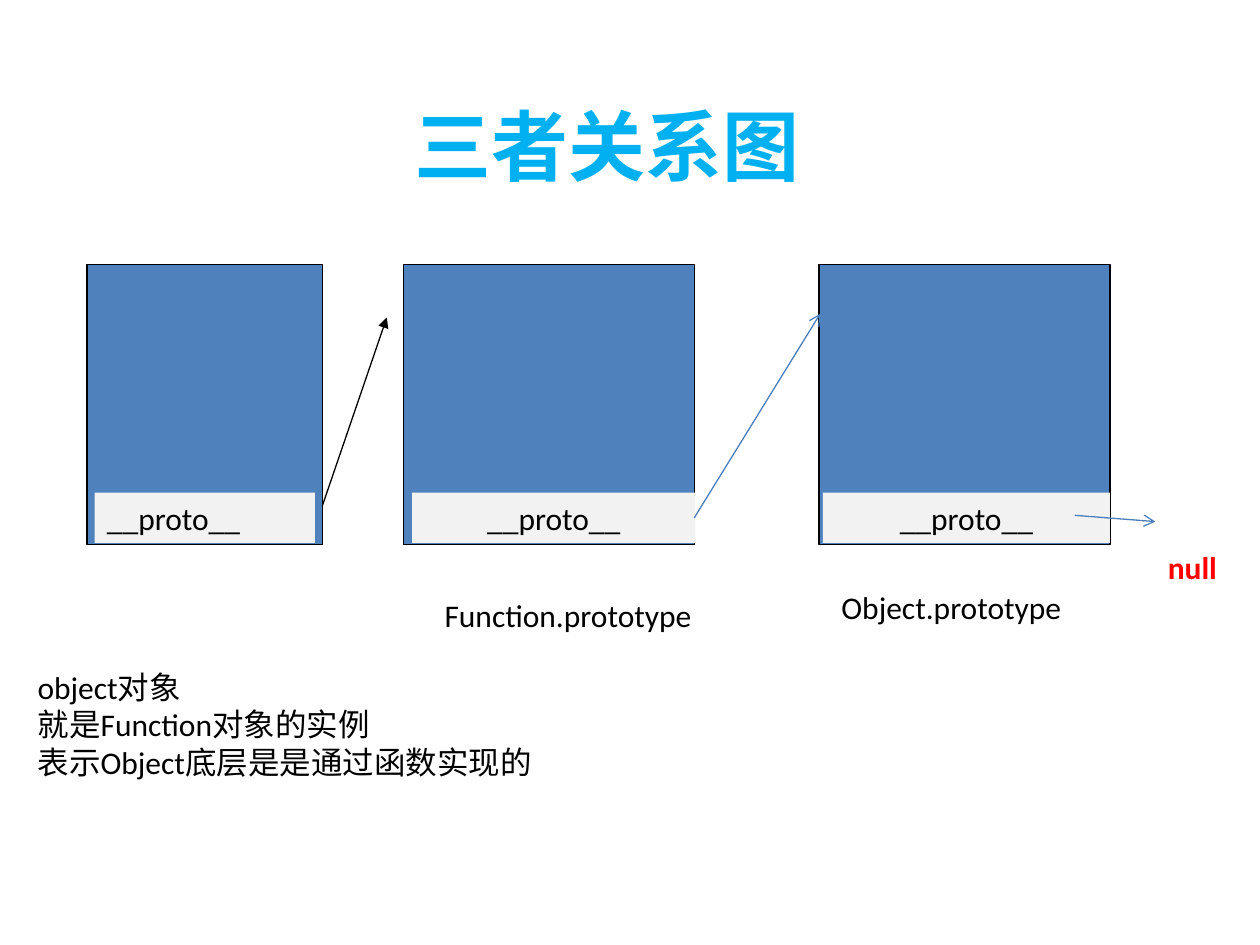
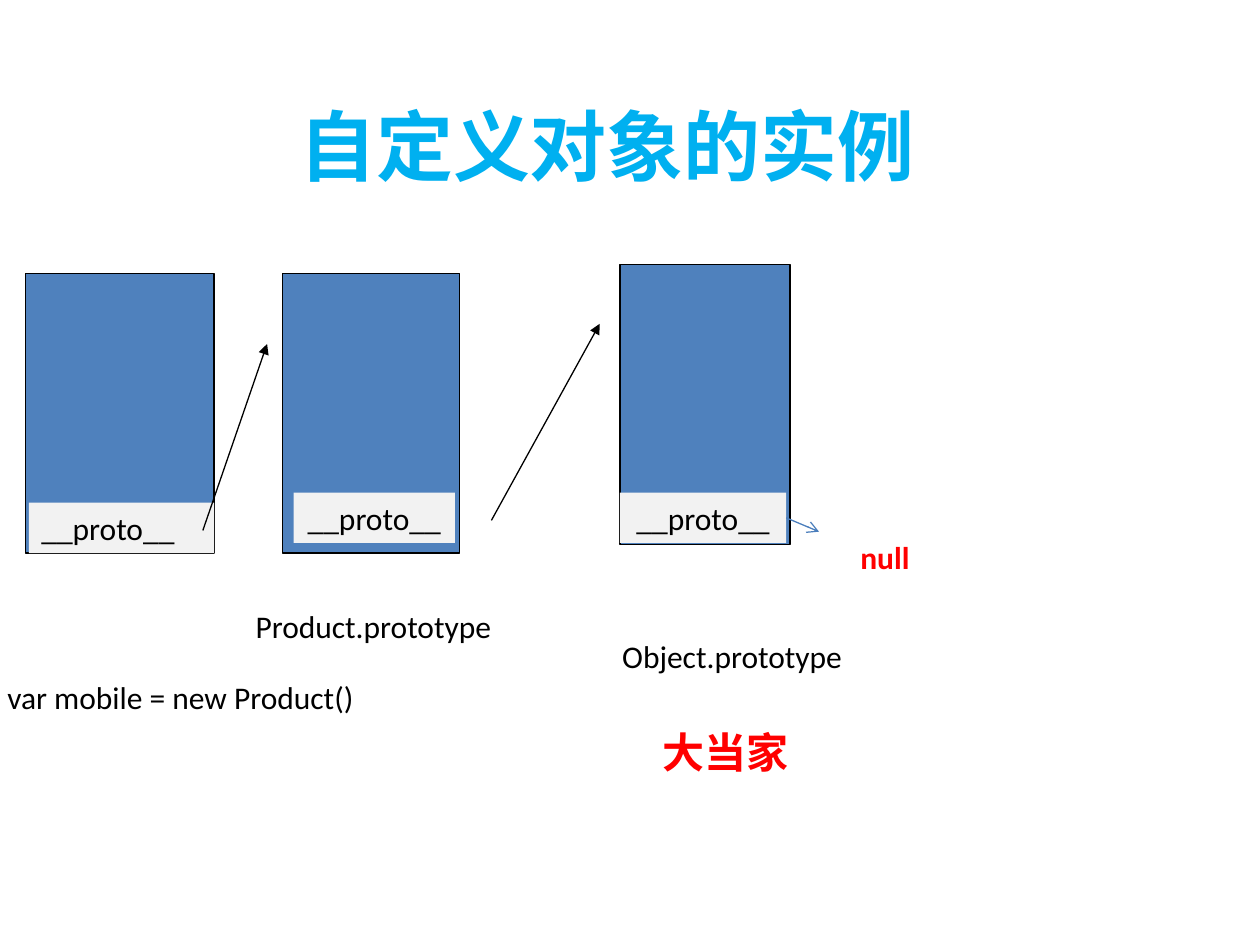
"""Build two slides that diagram JavaScript prototype chains."""
from dataclasses import dataclass

from lxml.etree import SubElement
from pptx import Presentation
from pptx.dml.color import RGBColor as RGB
from pptx.enum.shapes import MSO_CONNECTOR as CONN, MSO_SHAPE as SHAPE
from pptx.enum.text import MSO_ANCHOR as ANCHOR, PP_ALIGN as ALIGN
from pptx.oxml.ns import qn
from pptx.util import Inches, Pt


@dataclass(frozen=True)
class Theme:
    font: str = "Calibri"
    title: RGB = RGB(0x00, 0xB0, 0xF0)
    box: RGB = RGB(0x4F, 0x81, 0xBD)
    slot: RGB = RGB(0xF2, 0xF2, 0xF2)
    ink: RGB = RGB(0, 0, 0)
    link: RGB = RGB(0x4B, 0x7E, 0xBC)
    accent: RGB = RGB(0xFF, 0, 0)
    title_size: int = 44
    body_size: int = 18
    big_size: int = 24
    line: float = 0.75


T = Theme()
BOX_H, SLOT_H = 2.22, 0.4
LEFT, CENTER = ALIGN.LEFT, ALIGN.CENTER

slides = [
    {
        "title": "三者关系图",
        "boxes": [(0.69, 2.1, 1.87), (3.2, 2.1, 2.31), (6.5, 2.1, 2.31)],
        "slots": [(0.75, 3.91, 1.75, LEFT), (3.27, 3.91, 2.25, CENTER),
                  (6.53, 3.91, 2.28, CENTER)],
        "texts": [
            (0.2, 5.25, 4.12, 1, "object对象\n就是Function对象的实例\n"
             "表示Object底层是是通过函数实现的", T.body_size, T.ink),
            (3.43, 4.68, 2.27, 0.4, "Function.prototype", T.body_size, T.ink),
            (6.58, 4.62, 2.24, 0.4, "Object.prototype", T.body_size, T.ink),
            (9.17, 4.3, 0.74, 0.4, "null", T.body_size, T.accent),
        ],
        "arrows": [(2.56, 4.01, 3.07, 2.52, T.ink, "triangle"),
                   (8.53, 4.09, 9.17, 4.14, T.link, "arrow"),
                   (5.51, 4.11, 6.51, 2.49, T.link, "arrow")],
    },
    {
        "title": "自定义对象的实例",
        "boxes": [(0.2, 2.17, 1.5), (2.24, 2.17, 1.41), (4.92, 2.1, 1.35)],
        "slots": [(0.23, 3.99, 1.47, LEFT), (2.33, 3.91, 1.28, CENTER),
                  (4.92, 3.91, 1.32, CENTER)],
        "texts": [
            (-0.04, 5.33, 3, 0.4, "var mobile = new Product()", T.body_size, T.ink),
            (1.93, 4.77, 2.12, 0.4, "Product.prototype", T.body_size, T.ink),
            (6.73, 4.22, 0.74, 0.4, "null", T.body_size, T.accent),
            (4.84, 5.01, 2.24, 0.4, "Object.prototype", T.body_size, T.ink),
            (5.16, 5.72, 1.28, 0.5, "大当家", T.big_size, T.accent),
        ],
        "arrows": [(1.61, 4.21, 2.12, 2.73, T.ink, "triangle"),
                   (6.24, 4.11, 6.5, 4.22, T.link, "arrow"),
                   (3.9, 4.13, 4.76, 2.57, T.ink, "triangle")],
    },
]


def write(sp, text, size, color, bold=False, align=LEFT):
    tf = sp.text_frame
    tf.word_wrap = True
    tf.text = text
    for p in tf.paragraphs:
        p.alignment = align
        p.font.name, p.font.size, p.font.bold = T.font, Pt(size), bold
        p.font.color.rgb = color


def add_rect(s, x, y, w, h, fill):
    sp = s.shapes.add_shape(SHAPE.RECTANGLE, Inches(x), Inches(y), Inches(w), Inches(h))
    sp.shadow.inherit = False
    sp.fill.solid()
    sp.fill.fore_color.rgb = fill
    sp.line.fill.background()
    return sp


prs = Presentation()
prs.slide_width, prs.slide_height = Inches(10), Inches(7.5)

for page in slides:
    s = prs.slides.add_slide(prs.slide_layouts[0])
    subtitle = s.placeholders[1].element
    subtitle.getparent().remove(subtitle)
    title = s.shapes.title
    title.left, title.top = Inches(-0.12), Inches(0.52)
    title.width, title.height = Inches(9.88), Inches(1.25)
    write(title, page["title"], T.title_size, T.title, True, CENTER)
    title.text_frame.vertical_anchor = ANCHOR.MIDDLE

    for x, y, w in page["boxes"]:
        sp = add_rect(s, x, y, w, BOX_H, T.box)
        sp.line.color.rgb = T.ink
        sp.line.width = Pt(T.line)

    for x, y, w, align in page["slots"]:
        sp = add_rect(s, x, y, w, SLOT_H, T.slot)
        write(sp, "__proto__", T.body_size, T.ink, align=align)

    for x, y, w, h, text, size, color in page["texts"]:
        sp = s.shapes.add_textbox(Inches(x), Inches(y), Inches(w), Inches(h))
        write(sp, text, size, color, bold=color == T.accent)

    for x1, y1, x2, y2, color, head in page["arrows"]:
        sp = s.shapes.add_connector(CONN.STRAIGHT, Inches(x1), Inches(y1),
                                    Inches(x2), Inches(y2))
        sp.line.color.rgb = color
        sp.line.width = Pt(T.line)
        SubElement(sp.line._get_or_add_ln(), qn("a:tailEnd"), type=head)
        SubElement(sp._element.spPr, qn("a:effectLst"))

prs.save("out.pptx")
